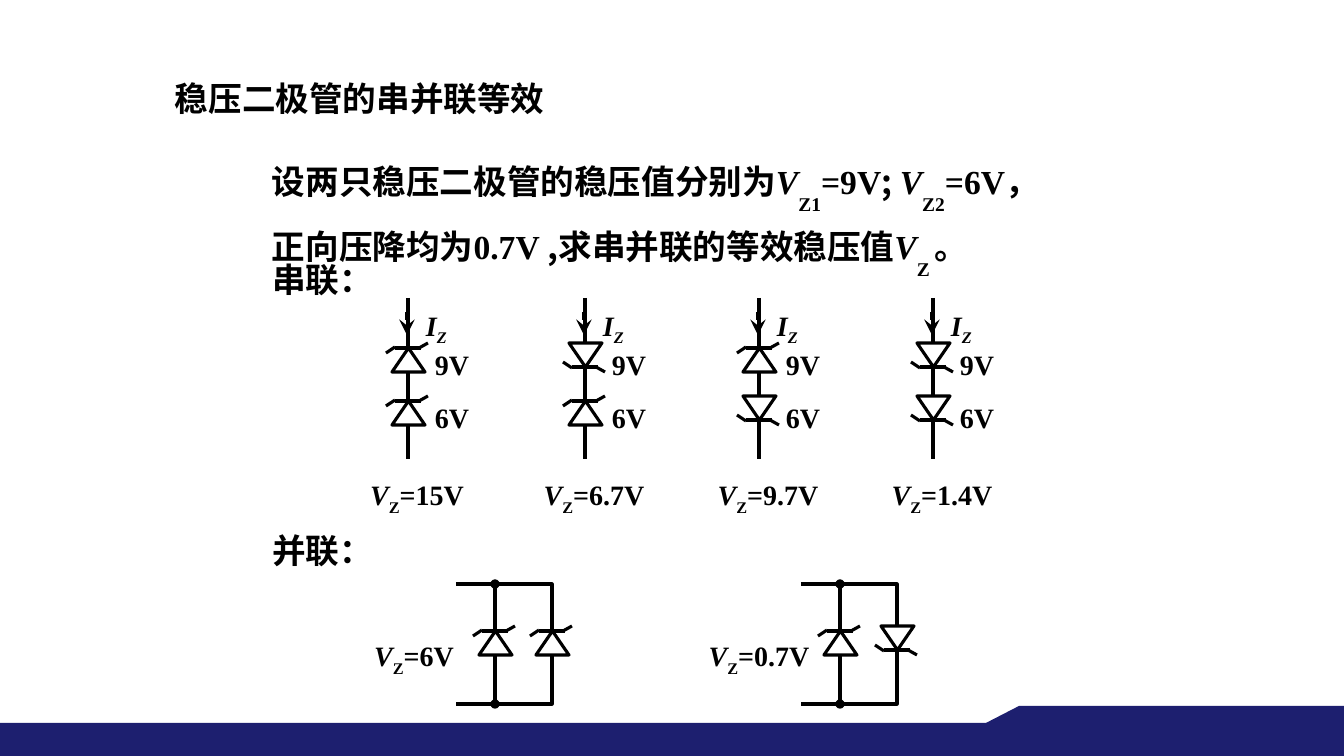
"""Build a slide on series and parallel equivalents of Zener diodes."""
from lxml.etree import SubElement
from pptx import Presentation
from pptx.dml.color import RGBColor
from pptx.enum.shapes import MSO_CONNECTOR as CONN, MSO_SHAPE as SHAPE
from pptx.enum.text import MSO_AUTO_SIZE as AUTO, PP_ALIGN as ALIGN
from pptx.oxml.ns import qn
from pptx.util import Emu, Pt

PX = 914400 / 100.8
THEME = {
    "ink": RGBColor(0, 0, 0),
    "paper": RGBColor(255, 255, 255),
    "navy": RGBColor(0x1D, 0x1F, 0x6F),
    "latin": "Times New Roman",
    "han": "Noto Sans CJK SC",
    "heading": Pt(24),
    "label": Pt(20),
    "line": Pt(2.25),
}
STYLES = {
    "plain": {},
    "han": {"font": THEME["han"]},
    "var": {"italic": True},
    "sub": {"baseline": -25000},
    "low": {"baseline": -50000},
    "varsub": {"italic": True, "baseline": -25000},
}

prs = Presentation()
prs.slide_width, prs.slide_height = Emu(round(1344 * PX)), Emu(round(756 * PX))
s = prs.slides.add_slide(prs.slide_layouts[6])


def add_text(paragraphs, box, size=THEME["label"], align=ALIGN.CENTER, wrap=False, spacing=None):
    tf = s.shapes.add_textbox(*[Emu(round(v * PX)) for v in box]).text_frame
    tf.word_wrap = wrap
    tf.auto_size = AUTO.SHAPE_TO_FIT_TEXT
    for i, runs in enumerate(paragraphs):
        p = tf.add_paragraph() if i else tf.paragraphs[0]
        p.alignment = align
        if spacing:
            p.line_spacing = spacing
        for text, style in runs:
            look = STYLES[style]
            r = p.add_run()
            r.text = text
            r.font.size, r.font.bold = size, True
            r.font.italic = look.get("italic", False)
            r.font.color.rgb = THEME["ink"]
            r.font.name = look.get("font", THEME["latin"])
            rpr = r.font._element
            SubElement(rpr, qn("a:ea")).set("typeface", THEME["han"])
            if "baseline" in look:
                rpr.set("baseline", str(look["baseline"]))


def add_line(x1, y1, x2, y2, head=None, tail=None, size="med"):
    c = s.shapes.add_connector(CONN.STRAIGHT, *[Emu(round(v * PX)) for v in (x1, y1, x2, y2)])
    c.line.color.rgb, c.line.width = THEME["ink"], THEME["line"]
    ln = c.line._get_or_add_ln()
    for tag, kind in (("a:headEnd", head), ("a:tailEnd", tail)):
        if kind:
            end = SubElement(ln, qn(tag))
            end.set("type", kind)
            end.set("w", size)
            end.set("len", size)
    SubElement(c._element.spPr, qn("a:effectLst"))


band = s.shapes.add_shape(SHAPE.RECTANGLE, 0, *[Emu(round(v * PX)) for v in (723, 1344, 33)])
fb = s.shapes.build_freeform(986, 723, scale=PX)
fb.add_line_segments([(1019, 706), (1344, 706), (1344, 731), (986, 731)], close=True)
for sp in (band, fb.convert_to_shape()):
    sp.shadow.inherit = False
    sp.fill.solid()
    sp.fill.fore_color.rgb = THEME["navy"]
    sp.line.fill.background()

add_text([[("稳压二极管的串并联等效", "plain")]], (165, 73, 541, 50),
         size=THEME["heading"], align=ALIGN.LEFT, wrap=True)
add_text([
    [("设两只稳压二极管的稳压值分别为", "han"), ("V", "var"), ("Z1", "low"), ("=9V", "plain"),
     ("; ", "han"), ("V", "var"), ("Z2", "low"), ("=6V，", "plain")],
    [("正向压降均为0.7V ", "plain"), (",求串并联的等效稳压值", "han"), ("V", "var"),
     ("Z ", "low"), ("。", "plain")],
], (262, 145, 820, 108), size=THEME["heading"], align=ALIGN.LEFT, spacing=1.2)
for heading, y in (("串联：", 254), ("并联：", 525)):
    add_text([[(heading, "plain")]], (261, y, 123, 50), size=THEME["heading"])

diodes = []
for cx, first_up, second_up, result in (
    (408, True, True, "=15V"),
    (585, False, True, "=6.7V"),
    (759, True, False, "=9.7V"),
    (933, False, False, "=1.4V"),
):
    add_line(cx, 298, cx, 459)
    add_line(cx - 1, 312, cx - 1, 335, tail="stealth", size="lg")
    add_text([[("I", "var"), ("Z", "varsub")]], (cx + 8, 304, 46, 44), align=ALIGN.LEFT)
    for y, up, rating in ((343, first_up, "9V"), (396, second_up, "6V")):
        diodes.append((cx, y, up))
        add_text([[(rating, "plain")]], (cx + 9, y, 70, 43))
    add_text([[("V", "var"), ("Z", "sub"), (result, "plain")]], (cx - 53, 473, 124, 44))

for left, second_up, result in ((456, True, "=6V"), (801, False, "=0.7V")):
    right = left + 96
    fb = s.shapes.build_freeform(left, 584, scale=PX)
    fb.add_line_segments([(right, 584), (right, 704), (left, 704)], close=False)
    frame = fb.convert_to_shape()
    frame.shadow.inherit = False
    frame.fill.background()
    frame.line.color.rgb, frame.line.width = THEME["ink"], THEME["line"]
    add_line(left + 39, 584, left + 39, 704, head="oval", tail="oval")
    diodes += [(left + 39, 626, True), (right, 626, second_up)]
    add_text([[("V", "var"), ("Z", "sub"), (result, "plain")]], (left - 104, 634, 124, 44))

for cx, y, up in diodes:
    top = y + 5 if up else y
    bar = top if up else top + 24
    sign = 1 if up else -1
    add_line(cx - 13, bar, cx + 13, bar)
    add_line(cx - 22, bar + 5 * sign, cx - 13, bar - sign)
    add_line(cx + 11, bar, cx + 20, bar - 5 * sign)
    body = s.shapes.add_shape(SHAPE.ISOSCELES_TRIANGLE,
                              *[Emu(round(v * PX)) for v in (cx - 16, top, 33, 24)])
    body.shadow.inherit = False
    body.fill.solid()
    body.fill.fore_color.rgb = THEME["paper"]
    body.line.color.rgb, body.line.width = THEME["ink"], THEME["line"]
    if not up:
        body._element.spPr.xfrm.set("flipV", "1")

prs.save("out.pptx")
